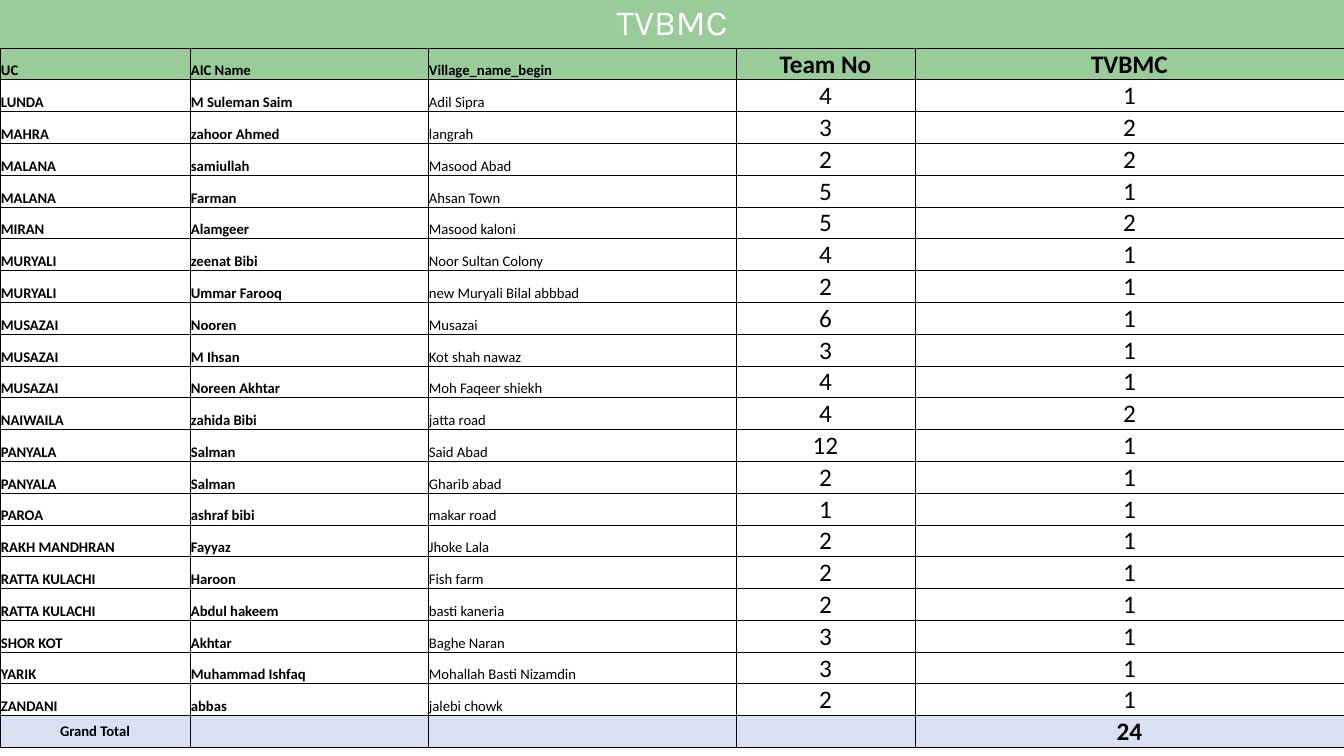
from lxml import etree
from pptx import Presentation
from pptx.dml.color import RGBColor
from pptx.enum.text import MSO_ANCHOR, MSO_AUTO_SIZE, PP_ALIGN
from pptx.oxml.ns import qn
from pptx.util import Pt

MIDDLE, BOTTOM = MSO_ANCHOR.MIDDLE, MSO_ANCHOR.BOTTOM
LEFT, CENTER = PP_ALIGN.LEFT, PP_ALIGN.CENTER
NO_AUTOFIT = MSO_AUTO_SIZE.NONE

GREEN = RGBColor(0x99, 0xCC, 0x99)
PALE_BLUE = RGBColor(0xD9, 0xE1, 0xF2)
WHITE = RGBColor(0xFF, 0xFF, 0xFF)
BLACK = RGBColor(0x00, 0x00, 0x00)

EMU_PER_PX = 914400 / 100.8
SLIDE_WIDTH, SLIDE_HEIGHT = 1344, 756
TITLE_HEIGHT = 48
ROW_HEIGHT = 31
COLUMN_WIDTHS = (190, 238, 308, 179, 429)

HEADER = ("UC", "AIC Name", "Village_name_begin", "Team No", "TVBMC")
TEAMS = (
    ("LUNDA", "M Suleman Saim", "Adil Sipra", 4, 1),
    ("MAHRA", "zahoor Ahmed", "langrah", 3, 2),
    ("MALANA", "samiullah", "Masood Abad", 2, 2),
    ("MALANA", "Farman", "Ahsan Town", 5, 1),
    ("MIRAN", "Alamgeer", "Masood kaloni", 5, 2),
    ("MURYALI", "zeenat Bibi", "Noor Sultan Colony", 4, 1),
    ("MURYALI", "Ummar Farooq", "new Muryali Bilal abbbad", 2, 1),
    ("MUSAZAI", "Nooren", "Musazai", 6, 1),
    ("MUSAZAI", "M Ihsan", "Kot shah nawaz", 3, 1),
    ("MUSAZAI", "Noreen Akhtar", "Moh Faqeer shiekh", 4, 1),
    ("NAIWAILA", "zahida Bibi", "jatta road", 4, 2),
    ("PANYALA", "Salman", "Said Abad", 12, 1),
    ("PANYALA", "Salman", "Gharib abad", 2, 1),
    ("PAROA", "ashraf bibi", "makar road", 1, 1),
    ("RAKH MANDHRAN", "Fayyaz", "Jhoke Lala", 2, 1),
    ("RATTA KULACHI", "Haroon", "Fish farm", 2, 1),
    ("RATTA KULACHI", "Abdul hakeem", "basti kaneria", 2, 1),
    ("SHOR KOT", "Akhtar", "Baghe Naran", 3, 1),
    ("YARIK", "Muhammad Ishfaq", "Mohallah Basti Nizamdin", 3, 1),
    ("ZANDANI", "abbas", "jalebi chowk", 2, 1),
)
TOTAL = ("Grand Total", "", "", "", sum(team[-1] for team in TEAMS))


def px(length):
    """Turn a length in px into EMU."""
    return round(length * EMU_PER_PX)


def format_text(para, font_name, size, color, bold, align):
    """Align a paragraph and format its runs."""
    para.alignment = align
    for span in para.runs:
        span.font.name = font_name
        span.font.size = Pt(size)
        span.font.bold = bold
        span.font.color.rgb = color


def add_borders(cell):
    """Draw a thin black line on each side of a cell."""
    properties = cell._tc.get_or_add_tcPr()
    for index, side in enumerate(("a:lnL", "a:lnR", "a:lnT", "a:lnB")):
        line = etree.Element(qn(side), w=str(Pt(0.5)))
        fill = etree.SubElement(line, qn("a:solidFill"))
        etree.SubElement(fill, qn("a:srgbClr"), val=str(BLACK))
        properties.insert(index, line)


def fill_cell(cell, value, fill, size, bold, align, anchor):
    """Write and format one table cell."""
    cell.margin_left = cell.margin_right = cell.margin_top = px(1)
    cell.margin_bottom = 0
    cell.vertical_anchor = anchor
    if fill is None:
        cell.fill.background()
    else:
        cell.fill.solid()
        cell.fill.fore_color.rgb = fill
    add_borders(cell)
    cell.text_frame.text = str(value)
    format_text(cell.text_frame.paragraphs[0], "Calibri", size, BLACK, bold, align)


def add_title(page, left, top, width, height):
    """Place the title band in the given box."""
    title = page.shapes.title
    title.left, title.top = px(left), px(top)
    title.width, title.height = px(width), px(height)
    title.fill.solid()
    title.fill.fore_color.rgb = GREEN
    frame = title.text_frame
    frame.text = "TVBMC"
    frame.auto_size = NO_AUTOFIT
    frame.vertical_anchor = MIDDLE
    para = frame.paragraphs[0]
    para.line_spacing = 0.9
    format_text(para, "Karla", 25.2, WHITE, False, CENTER)


def add_team_table(page, left, top, width):
    """Place the table of teams, with its header and total, in the given box."""
    rows = (HEADER, *TEAMS, TOTAL)
    last = len(rows) - 1
    table = page.shapes.add_table(
        len(rows), len(HEADER), px(left), px(top), px(width), px(ROW_HEIGHT * len(rows))
    ).table
    table.first_row = table.horz_banding = False
    for column, column_width in zip(table.columns, COLUMN_WIDTHS):
        column.width = px(column_width)
    for r, row in enumerate(rows):
        table.rows[r].height = px(ROW_HEIGHT)
        fill = {0: GREEN, last: PALE_BLUE}.get(r)
        for c, value in enumerate(row):
            numeric = c >= 3
            centered = numeric or r == last
            fill_cell(
                table.cell(r, c), value, fill,
                size=18 if numeric else 10.5,
                bold=c < 2 or r in (0, last),
                align=CENTER if centered else LEFT,
                anchor=MIDDLE if r == last or c == 4 or (r, c) == (0, 3) else BOTTOM,
            )


def main():
    """Build the deck and save it."""
    deck = Presentation()
    deck.slide_width, deck.slide_height = px(SLIDE_WIDTH), px(SLIDE_HEIGHT)
    page = deck.slides.add_slide(deck.slide_layouts[5])
    add_title(page, 0, 0, SLIDE_WIDTH, TITLE_HEIGHT)
    add_team_table(page, 0, TITLE_HEIGHT, SLIDE_WIDTH)
    deck.save("out.pptx")


if __name__ == "__main__":
    main()
